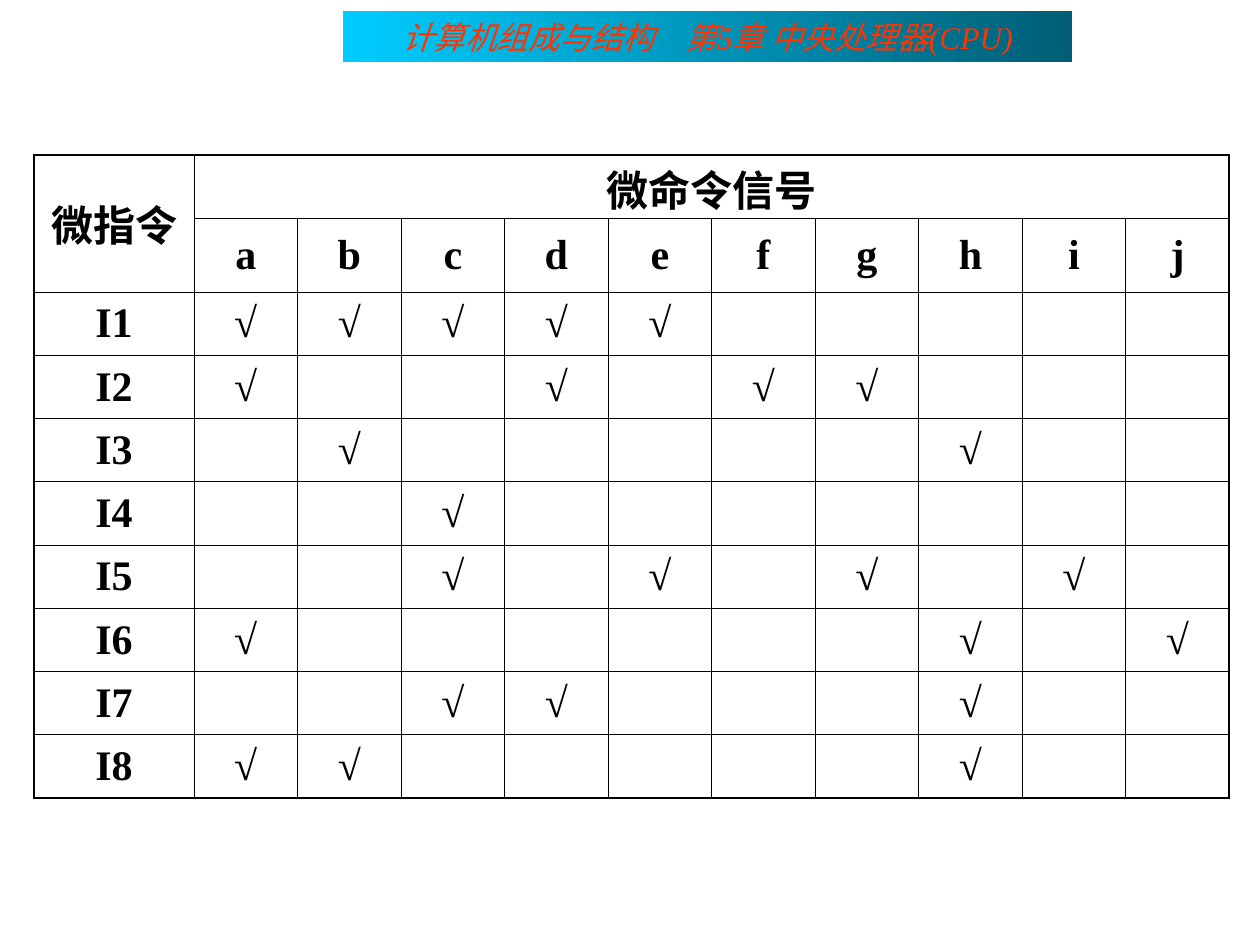
import dataclasses

import lxml.etree
import pptx
import pptx.dml.color
import pptx.enum.shapes
import pptx.enum.text
import pptx.oxml.ns
import pptx.util

COLORS = {"ink": "000000", "title": "FF3300", "dark": "005E75", "light": "00CCFF"}
FONT = "Times New Roman"
WIDTH, HEIGHT = pptx.util.Inches(10), pptx.util.Inches(7.5)
THIN, THICK = 0.45, 1.08


@dataclasses.dataclass
class Box:
    """A rectangle in inches."""
    left: float
    top: float
    width: float
    height: float

    def lengths(self) -> list:
        return [pptx.util.Inches(v) for v in dataclasses.astuple(self)]


@dataclasses.dataclass
class Instruction:
    """A microinstruction and the signals it issues."""
    name: str
    signals: str


BANNER = Box(2.72, 0.09, 5.79, 0.4)
GRID = Box(0.27, 1.23, 9.49, 5.02)
NAME_WIDTH = 1.27
SIGNALS = "abcdefghij"
INSTRUCTIONS = [
    Instruction("I1", "abcde"),
    Instruction("I2", "adfg"),
    Instruction("I3", "bh"),
    Instruction("I4", "c"),
    Instruction("I5", "cegi"),
    Instruction("I6", "ahj"),
    Instruction("I7", "cdh"),
    Instruction("I8", "abh"),
]


def rgb(name: str):
    return pptx.dml.color.RGBColor.from_string(COLORS[name])


def write(tf, text: str, *, size=24, color="ink", bold=False, italic=False):
    p = tf.paragraphs[0]
    p.alignment = pptx.enum.text.PP_ALIGN.CENTER
    r = p.add_run()
    r.text = text
    r.font.name, r.font.size = FONT, pptx.util.Pt(size)
    r.font.bold, r.font.italic = bold, italic
    r.font.color.rgb = rgb(color)


def draw_banner(s, box: Box, text: str):
    sp = s.shapes.add_shape(pptx.enum.shapes.MSO_SHAPE.RECTANGLE, *box.lengths())
    sp.shadow.inherit = False
    sp.line.fill.background()
    sp.fill.gradient()
    sp.fill.gradient_angle = 180
    for stop, color, position in zip(sp.fill.gradient_stops, ("dark", "light"), (0, 1)):
        stop.color.rgb = rgb(color)
        stop.position = position
    tf = sp.text_frame
    tf.word_wrap = True
    tf.vertical_anchor = pptx.enum.text.MSO_ANCHOR.MIDDLE
    write(tf, text, size=18, color="title", italic=True)


def set_borders(cell, **widths: float):
    tc_pr = cell._tc.get_or_add_tcPr()
    qn = pptx.oxml.ns.qn
    for side in "LRTB":
        ln = lxml.etree.SubElement(tc_pr, qn(f"a:ln{side}"),
                                   w=str(int(pptx.util.Pt(widths[side]))))
        fill = lxml.etree.SubElement(ln, qn("a:solidFill"))
        lxml.etree.SubElement(fill, qn("a:srgbClr"), val=COLORS["ink"])


def draw_signal_table(s, box: Box):
    rows, cols = len(INSTRUCTIONS) + 2, len(SIGNALS) + 1
    table = s.shapes.add_table(rows, cols, *box.lengths()).table
    table.first_row = table.horz_banding = False

    # Column and row sizes
    signal_width = (box.width - NAME_WIDTH) / len(SIGNALS)
    for i, column in enumerate(table.columns):
        column.width = pptx.util.Inches(signal_width if i else NAME_WIDTH)
    for row in table.rows:
        row.height = pptx.util.Inches(box.height / rows)

    # Merged headings
    table.cell(0, 0).merge(table.cell(1, 0))
    table.cell(0, 1).merge(table.cell(0, cols - 1))
    heading = table.cell(0, 1)
    heading.margin_top, heading.margin_bottom = pptx.util.Inches(0.02), 0

    # Wording
    texts = {(0, 0): "微指令", (0, 1): "微命令信号"}
    for col, signal in enumerate(SIGNALS, 1):
        texts[1, col] = signal
    for row, instruction in enumerate(INSTRUCTIONS, 2):
        texts[row, 0] = instruction.name
        for signal in instruction.signals:
            texts[row, SIGNALS.index(signal) + 1] = "√"

    # Thick outer frame, thin inner lines
    for row in range(rows):
        for col in range(cols):
            cell = table.cell(row, col)
            last_row, last_col = row, col
            if cell.is_merge_origin:
                last_row += cell.span_height - 1
                last_col += cell.span_width - 1
            set_borders(cell,
                        L=THIN if col else THICK,
                        R=THICK if last_col == cols - 1 else THIN,
                        T=THIN if row else THICK,
                        B=THICK if last_row == rows - 1 else THIN)
            cell.fill.background()
            cell.vertical_anchor = pptx.enum.text.MSO_ANCHOR.MIDDLE
            if (row, col) in texts:
                write(cell.text_frame, texts[row, col], bold=True)


def main():
    prs = pptx.Presentation()
    prs.slide_width, prs.slide_height = WIDTH, HEIGHT
    s = prs.slides.add_slide(prs.slide_layouts[6])
    draw_banner(s, BANNER, "计算机组成与结构　第5章 中央处理器(CPU)")
    draw_signal_table(s, GRID)
    prs.save("out.pptx")


if __name__ == "__main__":
    main()
